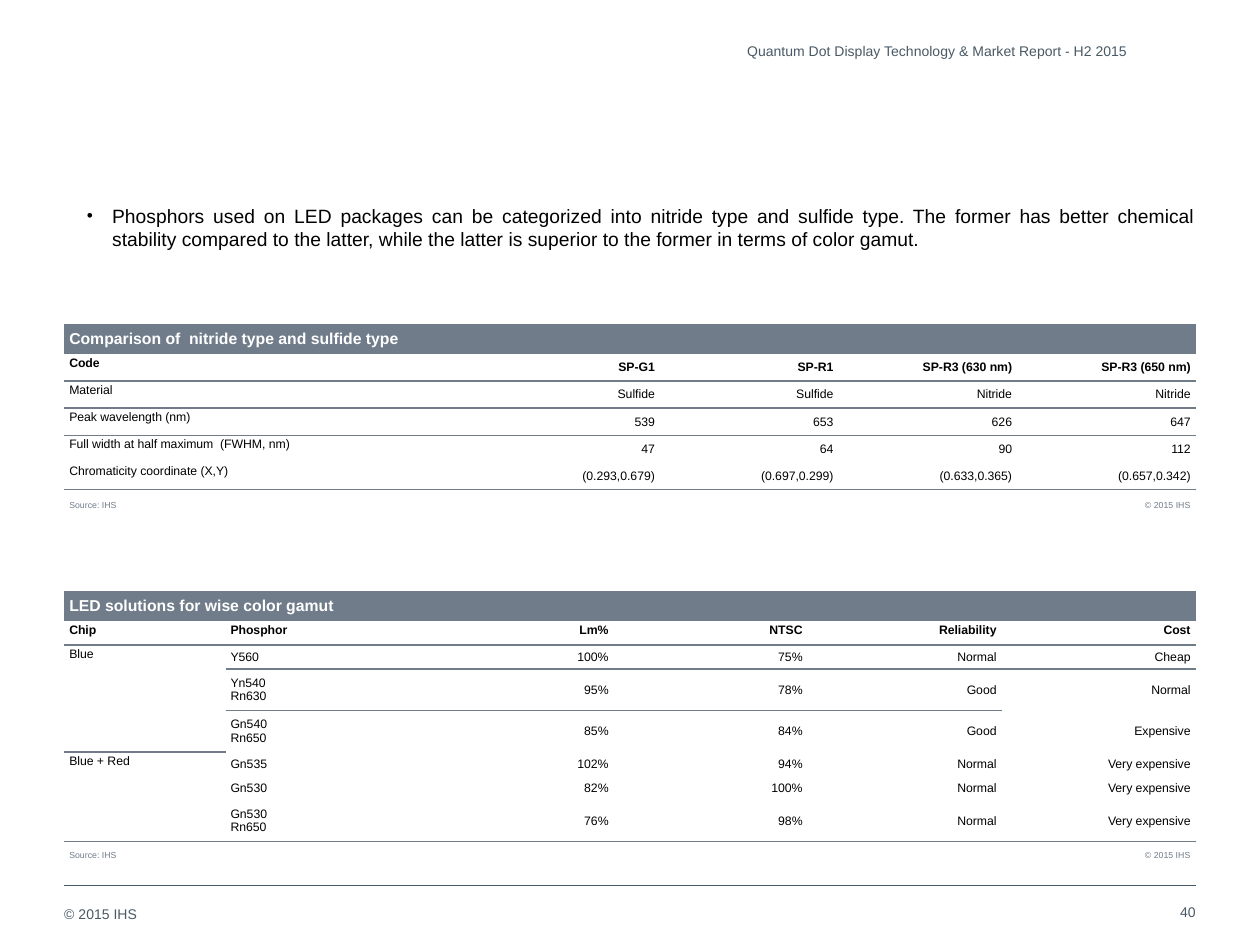
from dataclasses import dataclass
from lxml import etree
from pptx import Presentation, util as u
from pptx.dml.color import RGBColor
from pptx.enum import shapes, text as tx
from pptx.oxml import ns

LEFT, RIGHT, JUST = tx.PP_ALIGN.LEFT, tx.PP_ALIGN.RIGHT, tx.PP_ALIGN.JUSTIFY
TOP, MID, BASE = tx.MSO_ANCHOR.TOP, tx.MSO_ANCHOR.MIDDLE, tx.MSO_ANCHOR.BOTTOM
PLAIN = "{2D5ABB26-0587-4C30-8999-92F81FD0307C}"  # table style without grid


@dataclass(frozen=True)
class Theme:
    font: str = "Arial"
    ink: str = "000000"
    white: str = "FFFFFF"
    slate: str = "707C8A"
    gray: str = "495965"
    body: float = 11
    head: float = 9
    frame: float = 8
    cell: float = 7
    note: float = 5


@dataclass(frozen=True)
class Label:
    box: tuple
    text: str
    align: int = LEFT
    anchor: int = TOP
    wrap: bool = True


@dataclass(frozen=True)
class Grid:
    top: float         # grid rows from the slide's top
    first: float       # width of the first column
    heights: tuple
    title: str
    rows: tuple
    lefts: int         # columns set flush left
    top_rows: tuple    # rows anchored to the top throughout
    rules: tuple       # (row, first column, end column) with a line below
    spans: tuple = ()  # (first row, last row) merged in the first column


THEME = Theme()
EDGE, WIDE = 5.1, 89.8  # left margin and content width

LABELS = (
    Label((EDGE, 71.9, 5.9, 1.3), "© 2015 IHS", wrap=False),
    Label((88.6, 71.2, 6.3, 2.4), "40", RIGHT, MID),
    Label((EDGE, 3, 84.4, 2.1),
          "Quantum Dot Display Technology & Market Report - H2 2015", RIGHT, MID),
)
POINT = ("Phosphors used on LED packages can be categorized into nitride type and "
         "sulfide type. The former has better chemical stability compared to the "
         "latter, while the latter is superior to the former in terms of color gamut. ")

GRIDS = (
    Grid(46.9, 12.8, (2.4, 1.9, 1.9, 3.3, 3.3, 1.9, 1.9, 3.3, 1.5),
         "LED solutions for wise color gamut",
         (("Chip", "Phosphor", "Lm%", "NTSC", "Reliability", "Cost"),
          ("Blue", "Y560", "100%", "75%", "Normal", "Cheap"),
          ("", "Yn540\nRn630", "95%", "78%", "Good", "Normal"),
          ("", "Gn540\nRn650", "85%", "84%", "Good", "Expensive"),
          ("Blue + Red", "Gn535", "102%", "94%", "Normal", "Very expensive"),
          ("", "Gn530", "82%", "100%", "Normal", "Very expensive"),
          ("", "Gn530\nRn650", "76%", "98%", "Normal", "Very expensive")),
         2, (1,), ((1, 0, 6), (2, 1, 5), (7, 0, 6)), ((2, 4), (5, 7))),
    Grid(25.7, 33.1, (2.4, 2.15, 2.15, 2.15, 2.15, 2.15, 1.7),
         "Comparison of  nitride type and sulfide type",
         (("Code", "SP-G1", "SP-R1", "SP-R3 (630 nm)", "SP-R3 (650 nm)"),
          ("Material", "Sulfide", "Sulfide", "Nitride", "Nitride"),
          ("Peak wavelength (nm)", "539", "653", "626", "647"),
          ("Full width at half maximum  (FWHM, nm)", "47", "64", "90", "112"),
          ("Chromaticity coordinate (X,Y)", "(0.293,0.679)", "(0.697,0.299)",
           "(0.633,0.365)", "(0.657,0.342)")),
         1, (), ((1, 0, 5), (2, 0, 5), (5, 0, 5))),
)


def span(units: float) -> int:
    """Length of grid units; the slide has 100 columns and 75 rows."""
    return u.Inches(units / 10)


def style(para, size: float, color: str, align=LEFT, bold=False) -> None:
    para.alignment = align
    font = para.font
    font.name, font.size, font.bold = THEME.font, u.Pt(size), bold
    font.color.rgb = RGBColor.from_string(color)


def clear(frame) -> None:
    frame.margin_left = frame.margin_right = 0
    frame.margin_top = frame.margin_bottom = 0


def label(slide, item: Label) -> None:
    frame = slide.shapes.add_textbox(*map(span, item.box)).text_frame
    clear(frame)
    frame.word_wrap, frame.vertical_anchor = item.wrap, item.anchor
    frame.text = item.text
    style(frame.paragraphs[0], THEME.frame, THEME.gray, item.align)


def bullet(shape, words: str) -> None:
    shape.left, shape.top, shape.width, shape.height = map(span, (5, 16.2, 89.9, 52))
    frame = shape.text_frame
    clear(frame)
    frame.auto_size = tx.MSO_AUTO_SIZE.NONE
    frame.text = words
    para = frame.paragraphs[0]
    para.level = 1
    props = para._p.get_or_add_pPr()
    props.set("marL", str(span(3.9)))
    props.set("indent", str(span(-2)))
    for tag, key, val in (("buSzPct", "val", "90000"), ("buFont", "typeface", THEME.font),
                          ("buChar", "char", "•")):
        etree.SubElement(props, ns.qn(f"a:{tag}")).set(key, val)
    para.space_before, para.space_after = 0, u.Pt(6)
    style(para, THEME.body, THEME.ink, JUST)


def rule(cell, side: str) -> None:
    props = cell._tc.get_or_add_tcPr()
    line = etree.Element(ns.qn(f"a:{side}"), w=str(u.Pt(1)))
    fill = etree.SubElement(line, ns.qn("a:solidFill"))
    etree.SubElement(fill, ns.qn("a:srgbClr")).set("val", THEME.slate)
    # Borders come before the fill, top before bottom
    props.insert(0 if side == "lnT" else len(props.findall(ns.qn("a:lnT"))), line)


def write(cell, words: str, size: float, color: str, align=LEFT,
          anchor=MID, bold=False, pads=(0.2, 0.2)) -> None:
    cell.margin_left = cell.margin_right = span(0.4)
    cell.margin_top, cell.margin_bottom = map(span, pads)
    cell.vertical_anchor = anchor
    cell.text = words
    for para in cell.text_frame.paragraphs:
        style(para, size, color, align, bold)


def table(slide, grid: Grid) -> None:
    count, last = len(grid.rows[0]), len(grid.heights) - 1
    box = map(span, (EDGE, grid.top, WIDE, sum(grid.heights)))
    tab = slide.shapes.add_table(last + 1, count, *box).table
    tab.first_row = tab.horz_banding = False
    tab._tbl.tblPr.find(ns.qn("a:tableStyleId")).text = PLAIN
    for col, part in enumerate(tab.columns):
        part.width = span((WIDE - grid.first) / (count - 1) if col else grid.first)
    for part, high in zip(tab.rows, grid.heights):
        part.height = span(high)

    # Title band, body and source line
    rows = ((grid.title,) + ("",) * (count - 1), *grid.rows,
            ("Source: IHS",) + ("",) * (count - 2) + ("© 2015 IHS",))
    for row, items in enumerate(rows):
        for col, words in enumerate(items):
            cell = tab.cell(row, col)
            align = RIGHT if col >= grid.lefts else LEFT
            if row == 0:
                write(cell, words, THEME.head, THEME.white, bold=True)
                cell.fill.solid()
                cell.fill.fore_color.rgb = RGBColor.from_string(THEME.slate)
                continue
            cell.fill.background()
            if row == last:
                write(cell, words, THEME.note, THEME.slate, align, BASE, pads=(0.4, 0))
            else:
                anchor = TOP if col == 0 or row in grid.top_rows else MID
                write(cell, words, THEME.cell, THEME.ink, align, anchor, row == 1)

    # Merged cells and rules
    tab.cell(0, 0).merge(tab.cell(0, count - 1))
    tab.cell(last, 0).merge(tab.cell(last, count - 2))
    for start, end in grid.spans:
        tab.cell(start, 0).merge(tab.cell(end, 0))
    for row, start, end in grid.rules:
        for col in range(start, end):
            rule(tab.cell(row, col), "lnB")
            rule(tab.cell(row + 1, col), "lnT")


def main() -> None:
    deck = Presentation()
    deck.slide_width, deck.slide_height = span(100), span(75)
    slide = deck.slides.add_slide(deck.slide_layouts[1])
    title = slide.shapes.title._element
    title.getparent().remove(title)

    # Footer line
    ends = map(span, (EDGE, 70.3, EDGE + WIDE, 70.3))
    line = slide.shapes.add_connector(shapes.MSO_CONNECTOR.STRAIGHT, *ends)
    line.line.width = u.Pt(0.5)
    line.line.color.rgb = RGBColor.from_string(THEME.gray)
    etree.SubElement(line._element.spPr, ns.qn("a:effectLst"))

    # Text and tables
    bullet(slide.placeholders[1], POINT)
    for item in LABELS:
        label(slide, item)
    for grid in GRIDS:
        table(slide, grid)
    deck.save("out.pptx")


if __name__ == "__main__":
    main()
